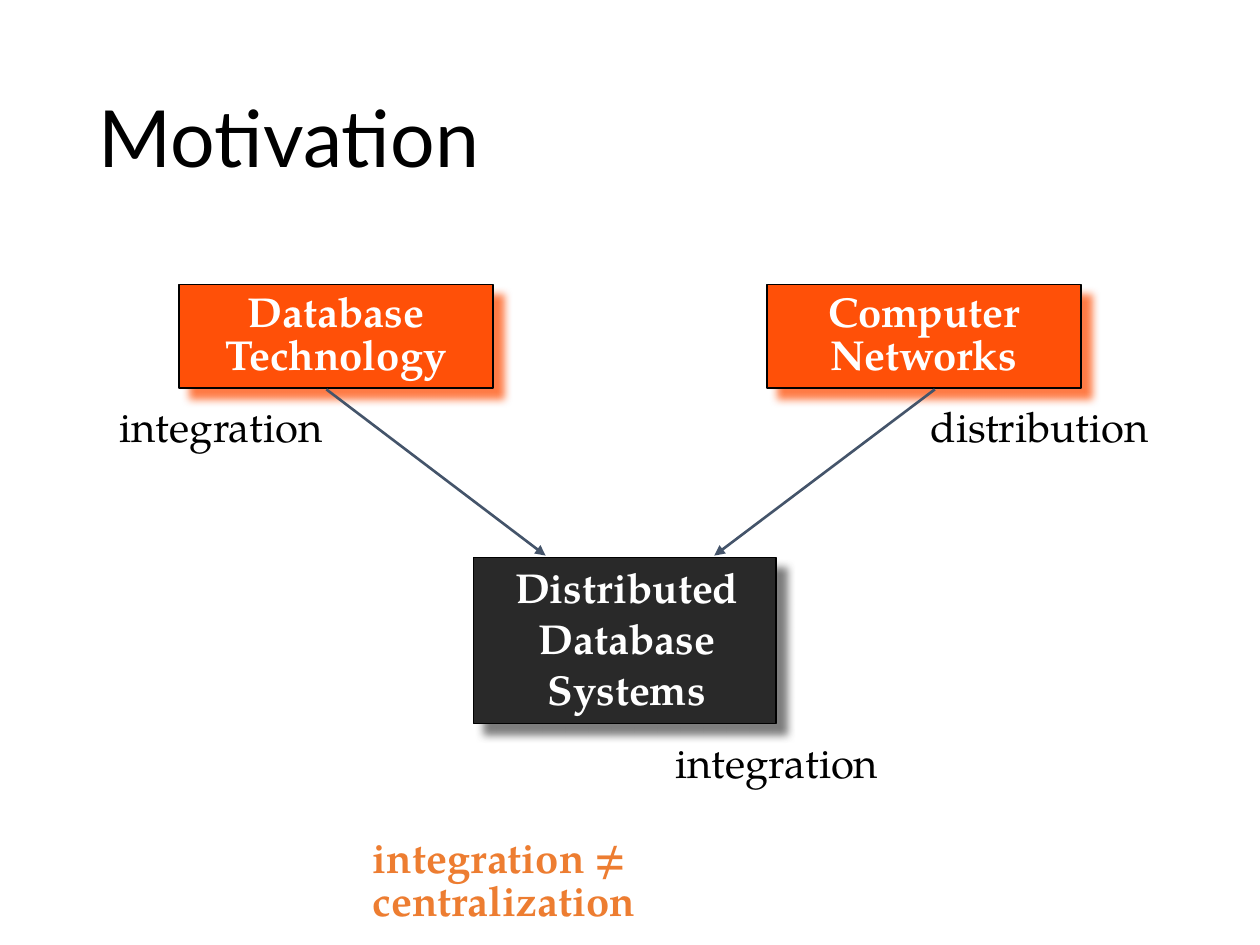
import pptx
import pptx.util
import pptx.dml.color
import pptx.enum.shapes
import pptx.enum.text
import pptx.oxml
import pptx.oxml.ns

Pt = pptx.util.Pt
ALIGN = pptx.enum.text.PP_ALIGN
ANCHOR = pptx.enum.text.MSO_ANCHOR
NS = pptx.oxml.ns.nsdecls("a")
HUES = {"orange": "FF5008", "dark": "292929", "grey": "525252", "black": "000000",
        "white": "FFFFFF", "slate": "44546A", "accent": "ED7D31"}


def color(name):
    return pptx.dml.color.RGBColor.from_string(HUES[name])


def write(text, area, hue, size=23.9, face="TeX Gyre Pagella", bold=False,
          align=ALIGN.CENTER, space=0.85, inset=(5, 2.2), wrap=False, anchor=ANCHOR.TOP):
    """Add a text box; each line of text becomes a paragraph."""
    frame = slide.shapes.add_textbox(*map(Pt, area)).text_frame
    frame.word_wrap = wrap
    frame.vertical_anchor = anchor
    frame.margin_left = frame.margin_right = Pt(inset[0])
    frame.margin_top = frame.margin_bottom = Pt(inset[1])
    frame.text = text
    for para in frame.paragraphs:
        para.alignment = align
        para.line_spacing = space
        para.font.size = Pt(size)
        para.font.name = face
        para.font.bold = bold
        para.font.color.rgb = color(hue)


deck = pptx.Presentation()
deck.slide_width, deck.slide_height = Pt(720), Pt(540)
slide = deck.slides.add_slide(deck.slide_layouts[6])

write("Motivation", (49.5, 28.8, 621, 104.4), "black", size=45, face="Lato",
      align=ALIGN.LEFT, space=0.9, inset=(7.2, 3.6), wrap=True, anchor=ANCHOR.MIDDLE)

# Boxes with a soft shadow to the lower right
boxes = [
    ((102.4, 162.6, 179.2, 59), "orange", "orange"),
    ((438.4, 162.6, 179.2, 59), "orange", "orange"),
    ((270.6, 318.5, 172.8, 95), "dark", "grey"),
]
for area, fill, shade in boxes:
    box = slide.shapes.add_shape(pptx.enum.shapes.MSO_SHAPE.RECTANGLE, *map(Pt, area))
    box.fill.solid()
    box.fill.fore_color.rgb = color(fill)
    box.line.color.rgb = color("black")
    box.line.width = Pt(1)
    box.shadow.inherit = False
    glow = box._element.spPr.find(pptx.oxml.ns.qn("a:effectLst"))
    glow.append(pptx.oxml.parse_xml(
        f'<a:outerShdw {NS} blurRad="{Pt(5)}" dist="{Pt(8.5)}" dir="2700000" '
        f'algn="ctr" rotWithShape="0"><a:srgbClr val="{HUES[shade]}">'
        '<a:alpha val="75000"/></a:srgbClr></a:outerShdw>'))

# Arrows from both fields to the combined one
for start, end in [(186.5, 311.8), (534.2, 408.2)]:
    arrow = slide.shapes.add_connector(
        pptx.enum.shapes.MSO_CONNECTOR.STRAIGHT, Pt(start), Pt(222.5), Pt(end), Pt(317.5))
    arrow.line.color.rgb = color("slate")
    arrow.line.width = Pt(1.5)
    arrow.line._get_or_add_ln().append(
        pptx.oxml.parse_xml(f'<a:tailEnd {NS} type="triangle"/>'))
    arrow._element.spPr.append(pptx.oxml.parse_xml(f"<a:effectLst {NS}/>"))

write("Database\nTechnology", (121.7, 165.6, 140.4, 53.3), "white", bold=True)
write("Computer\nNetworks", (467.3, 165.6, 121.7, 53.3), "white", bold=True)

labels = [("integration", 62.6, 231.1, 127.4), ("distribution", 525.6, 231.1, 136.8),
          ("integration", 380.2, 423.4, 127.4)]
for word, left, top, width in labels:
    write(word, (left, top, width, 28.8), "black")

write("integration ≠\vcentralization", (208.1, 477.4, 309.6, 28.8), "accent",
      bold=True, align=ALIGN.LEFT, wrap=True)
write("Distributed\nDatabase\nSystems", (288.7, 318.2, 139, 92.9), "white",
      bold=True, space=1.02)

deck.save("out.pptx")
